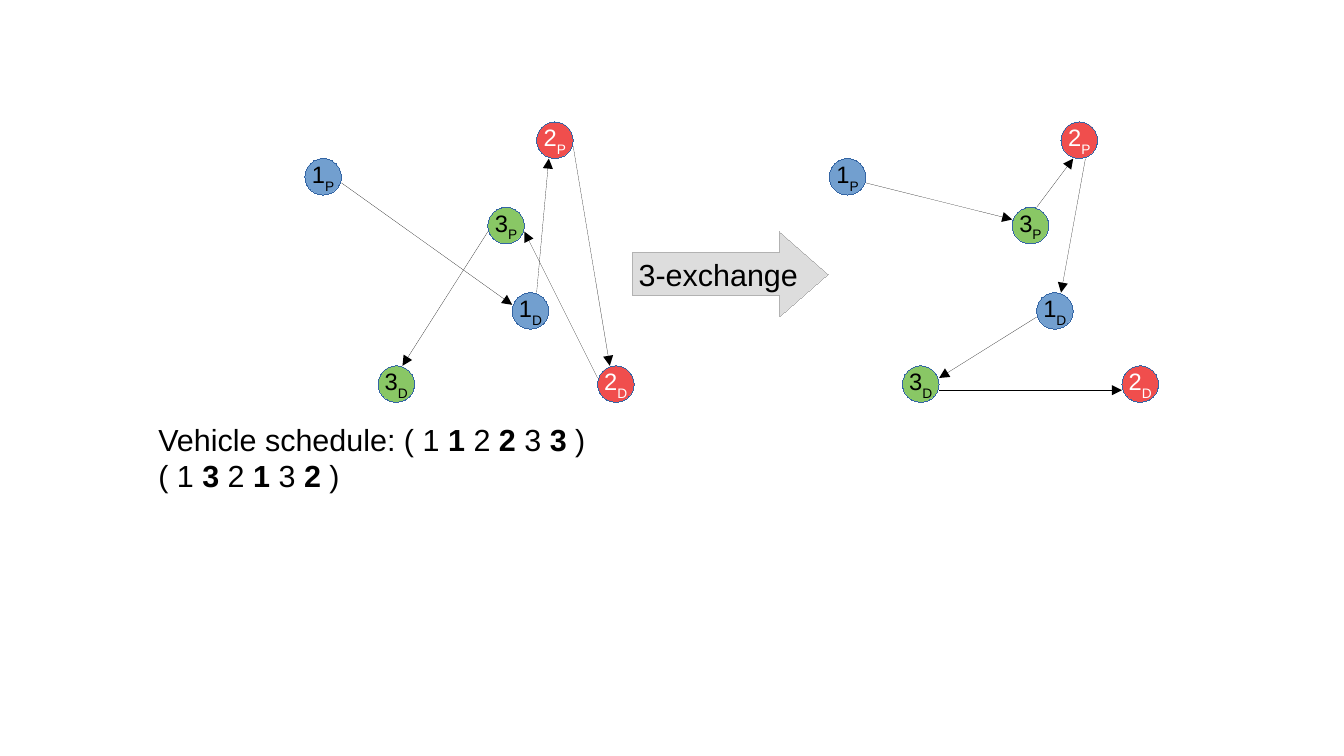
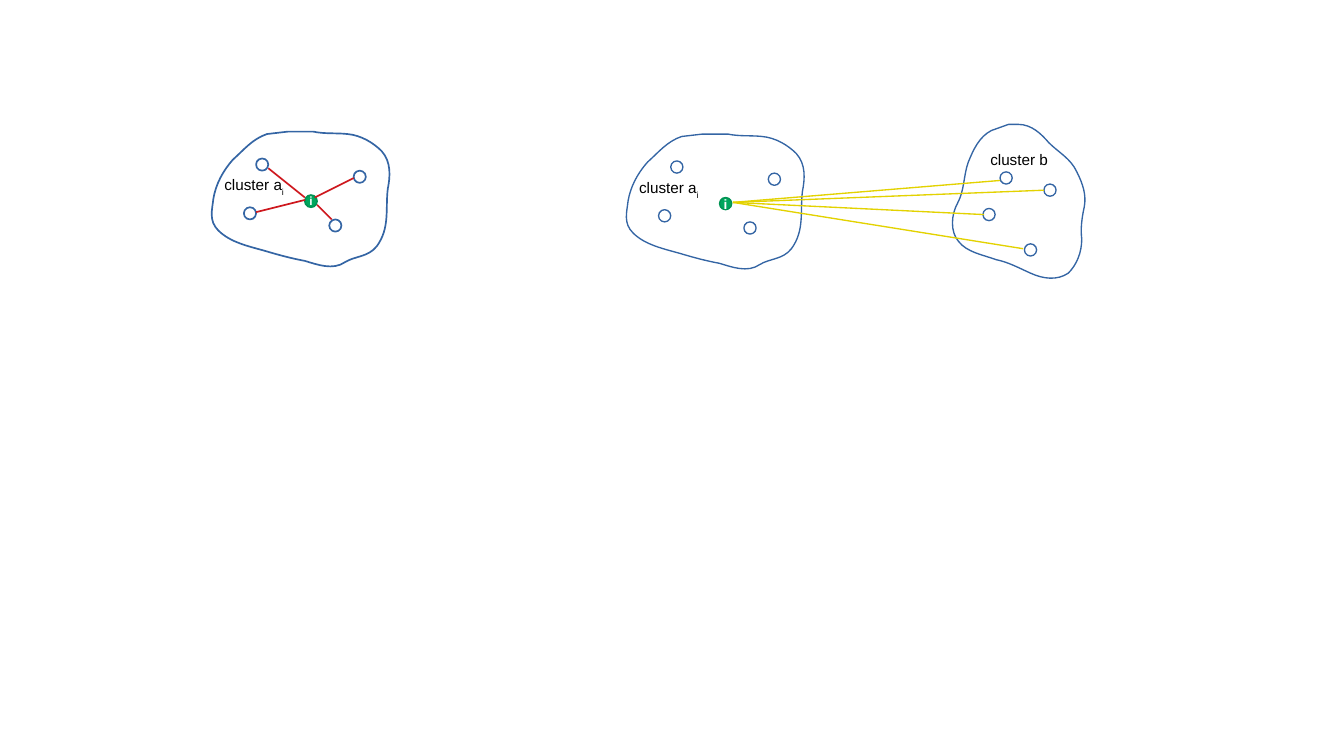
from dataclasses import dataclass
from typing import NamedTuple

from lxml import etree
from pptx import Presentation
from pptx import util as u
from pptx.dml.color import RGBColor
from pptx.enum import shapes, text
from pptx.oxml import ns

EMU_PER_PX = 9144  # 100 px to the inch


@dataclass(frozen=True)
class Theme:
    font: str = "Arial"
    black: str = "000000"
    white: str = "FFFFFF"
    outline: str = "3465A4"
    blue: str = "729FCF"
    red: str = "F04E4D"
    green: str = "89C765"
    exchange_fill: str = "DDDDDD"
    exchange_line: str = "B2B2B2"
    focus_fill: str = "00A65D"
    focus_line: str = "009353"
    inner_ray: str = "CE181E"
    outer_ray: str = "E3D200"
    body_size: float = 18
    stop_size: float = 14
    label_size: float = 9
    hairline: float = 0
    thin: float = 0.79
    medium: float = 1


THEME = Theme()


class Point(NamedTuple):
    x: int
    y: int

    def moved(self, shift: "Point") -> "Point":
        return Point(self.x + shift.x, self.y + shift.y)


class Box(NamedTuple):
    x: int
    y: int
    w: int
    h: int


class Run(NamedTuple):
    words: str
    bold: bool = False
    subscript: bool = False


class Stop(NamedTuple):
    request: str
    kind: str
    at: Point
    fill: str
    ink: str


class Leg(NamedTuple):
    start: Point
    end: Point


class Cluster(NamedTuple):
    start: Point
    segments: list[tuple[int, ...]]  # 2 numbers: line, 6 numbers: cubic curve
    label: list[Run]
    label_at: Point
    members: list[Point]


ORIGIN = Point(0, 0)
STOP_SIZE, MEMBER_SIZE = 30, 10

STOPS = [
    Stop("1", "P", Point(250, 130), THEME.blue, THEME.black),
    Stop("1", "D", Point(420, 240), THEME.blue, THEME.black),
    Stop("2", "P", Point(440, 100), THEME.red, THEME.white),
    Stop("2", "D", Point(490, 300), THEME.red, THEME.white),
    Stop("3", "P", Point(400, 170), THEME.green, THEME.black),
    Stop("3", "D", Point(310, 300), THEME.green, THEME.black),
]
ROUTE_BEFORE = [
    Leg(Point(280, 150), Point(420, 250)),
    Leg(Point(440, 240), Point(450, 130)),
    Leg(Point(470, 120), Point(500, 300)),
    Leg(Point(490, 310), Point(430, 190)),
    Leg(Point(400, 190), Point(330, 300)),
]
ROUTE_AFTER = [
    Leg(Point(280, 150), Point(400, 180)),
    Leg(Point(420, 170), Point(450, 130)),
    Leg(Point(460, 130), Point(440, 240)),
    Leg(Point(420, 260), Point(340, 310)),
    Leg(Point(340, 320), Point(490, 320)),
]
AFTER_SHIFT = Point(430, 0)

CLUSTER_A = Cluster(
    Point(219, 110),
    [
        (207, 114, 200, 123, 191, 131), (183, 140, 177, 151, 175, 163),
        (174, 172, 171, 181, 179, 189), (189, 199, 204, 202, 218, 206),
        (228, 209, 239, 212, 250, 214), (260, 217, 273, 222, 283, 215),
        (291, 210, 302, 211, 309, 202), (320, 187, 316, 171, 318, 155),
        (320, 145, 321, 133, 313, 124), (306, 117, 296, 111, 285, 110),
        (276, 109, 266, 110, 257, 108), (247, 108), (238, 108), (236, 108),
    ],
    [Run("cluster a"), Run("i", subscript=True)],
    Point(184, 144),
    [Point(210, 130), Point(200, 170), Point(270, 180), Point(290, 140)],
)
CLUSTER_B = Cluster(
    Point(813, 107),
    [
        (803, 112, 798, 123, 794, 133), (790, 144, 791, 156, 785, 167),
        (780, 176, 779, 190, 786, 198), (793, 207, 806, 209, 817, 213),
        (827, 215, 836, 220, 845, 224), (856, 229, 867, 230, 876, 224),
        (883, 217, 887, 207, 887, 196), (886, 188, 887, 179, 889, 170),
        (891, 160, 888, 151, 883, 141), (878, 130, 868, 125, 860, 117),
        (854, 110, 846, 102, 835, 102), (827, 102),
    ],
    [Run("cluster b")],
    Point(812, 123),
    [Point(820, 141), Point(806, 171), Point(840, 200), Point(856, 151)],
)
FOCUS = Point(250, 160)
SECOND_SHIFT = Point(340, 2)
INNER_RAYS = [
    Leg(Point(220, 138), Point(250, 162)),
    Leg(Point(210, 174), Point(250, 164)),
    Leg(Point(260, 168), Point(272, 180)),
    Leg(Point(258, 162), Point(290, 146)),
]
OUTER_RAYS = [
    Leg(Point(601, 166), end)
    for end in (Point(820, 148), Point(856, 156), Point(839, 204), Point(807, 176))
]


def px(length: int) -> u.Emu:
    return u.Emu(length * EMU_PER_PX)


def set_line(line, color: str, width: float) -> None:
    line.color.rgb = RGBColor.from_string(color)
    # A zero width is written out, as line.width would omit it.
    line._get_or_add_ln().set("w", str(int(u.Pt(width))))


def write(paragraph, runs: list[Run], size: float, ink: str = THEME.black) -> None:
    for part in runs:
        run = paragraph.add_run()
        run.text = part.words
        run.font.name = THEME.font
        run.font.size = u.Pt(size)
        run.font.bold = part.bold
        run.font.color.rgb = RGBColor.from_string(ink)
        if part.subscript:
            run.font._element.set("baseline", "-33000")


def draw_shape(slide, preset, box: Box, fill: str | None, line: str, width: float):
    shape = slide.shapes.add_shape(preset, *map(px, box))
    finish(shape, fill, line, width)
    return shape


def finish(shape, fill: str | None, line: str, width: float) -> None:
    """Set the fill and outline and drop the shadow."""
    shape.shadow.inherit = False
    if fill:
        shape.fill.solid()
        shape.fill.fore_color.rgb = RGBColor.from_string(fill)
    else:
        shape.fill.background()
    set_line(shape.line, line, width)


def write_centred(shape, runs: list[Run], size: float, ink: str) -> None:
    frame = shape.text_frame
    frame.word_wrap = False
    frame.vertical_anchor = text.MSO_ANCHOR.MIDDLE
    frame.paragraphs[0].alignment = text.PP_ALIGN.CENTER
    write(frame.paragraphs[0], runs, size, ink)


def draw_leg(slide, leg: Leg, color: str, width: float, arrow: bool = False) -> None:
    connector = slide.shapes.add_connector(
        shapes.MSO_CONNECTOR.STRAIGHT, *map(px, (*leg.start, *leg.end))
    )
    set_line(connector.line, color, width)
    if arrow:
        head = etree.SubElement(connector.line._get_or_add_ln(), ns.qn("a:tailEnd"))
        head.set("type", "triangle")
    etree.SubElement(connector._element.spPr, ns.qn("a:effectLst"))


def draw_route(slide, route: list[Leg], shift: Point) -> None:
    for stop in STOPS:
        circle = draw_shape(
            slide, shapes.MSO_SHAPE.OVAL, Box(*stop.at.moved(shift), STOP_SIZE, STOP_SIZE),
            stop.fill, THEME.outline, THEME.hairline,
        )
        runs = [Run(stop.request), Run(stop.kind, subscript=True)]
        write_centred(circle, runs, THEME.stop_size, stop.ink)
    for leg in route:
        moved = Leg(leg.start.moved(shift), leg.end.moved(shift))
        draw_leg(slide, moved, THEME.black, THEME.hairline, arrow=True)


def draw_outline(slide, cluster: Cluster, shift: Point):
    """Build the outline from its end points, then bend its curved segments."""
    ends = [Point(*segment[-2:]).moved(shift) for segment in cluster.segments]
    start = cluster.start.moved(shift)
    builder = slide.shapes.build_freeform(*map(px, start), scale=1.0)
    builder.add_line_segments([(px(end.x), px(end.y)) for end in ends], close=True)
    shape = builder.convert_to_shape()
    drawn = list(shape._element.iter(ns.qn("a:lnTo")))
    for element, segment in zip(drawn, cluster.segments):
        if len(segment) == 2:
            continue
        curve = etree.Element(ns.qn("a:cubicBezTo"))
        for x, y in zip(segment[0::2], segment[1::2]):
            point = etree.SubElement(curve, ns.qn("a:pt"))
            point.set("x", str(px(x + shift.x) - shape.left))
            point.set("y", str(px(y + shift.y) - shape.top))
        element.getparent().replace(element, curve)
    return shape


def draw_cluster(slide, cluster: Cluster, width: float, shift: Point = ORIGIN) -> None:
    outline = draw_outline(slide, cluster, shift)
    finish(outline, None, THEME.outline, width)
    label_at = cluster.label_at.moved(shift)
    frame = outline.text_frame
    frame.word_wrap = True
    frame.vertical_anchor = text.MSO_ANCHOR.TOP
    frame.margin_left = px(label_at.x) - outline.left
    frame.margin_top = px(label_at.y) - outline.top
    frame.margin_right = frame.margin_bottom = 0
    frame.paragraphs[0].alignment = text.PP_ALIGN.LEFT
    write(frame.paragraphs[0], cluster.label, THEME.label_size)
    for member in cluster.members:
        draw_shape(
            slide, shapes.MSO_SHAPE.OVAL, Box(*member.moved(shift), MEMBER_SIZE, MEMBER_SIZE),
            None, THEME.outline, width,
        )


def draw_focus(slide, width: float, size: float, shift: Point = ORIGIN) -> None:
    """Draw the marked member i of cluster a."""
    circle = draw_shape(
        slide, shapes.MSO_SHAPE.OVAL, Box(*FOCUS.moved(shift), MEMBER_SIZE, MEMBER_SIZE),
        THEME.focus_fill, THEME.focus_line, width,
    )
    circle.text_frame.margin_top = circle.text_frame.margin_bottom = px(1)
    write_centred(circle, [Run("i", bold=True)], size, THEME.white)


def schedule(opening: str, visits: str) -> list[Run]:
    """Write the visits plain and bold in turn."""
    runs = [Run(opening)]
    for plain, bold in zip(visits[0::2], visits[1::2]):
        runs += [Run(f" {plain} "), Run(bold, bold=True)]
    return runs + [Run(" )")]


def draw_schedules(slide) -> None:
    frame = slide.shapes.add_textbox(*map(px, Box(120, 340, 840, 66))).text_frame
    frame.word_wrap = True
    paragraph = frame.paragraphs[0]
    write(paragraph, schedule("Vehicle schedule: (", "112233"), THEME.body_size)
    paragraph.add_line_break()
    write(paragraph, schedule("(", "132132"), THEME.body_size)


def build_exchange(slide) -> None:
    draw_route(slide, ROUTE_BEFORE, ORIGIN)
    exchange = draw_shape(
        slide, shapes.MSO_SHAPE.RIGHT_ARROW, Box(519, 190, 160, 70),
        THEME.exchange_fill, THEME.exchange_line, THEME.hairline,
    )
    exchange.adjustments[0], exchange.adjustments[1] = 0.5, 0.57
    write_centred(exchange, [Run("3-exchange")], THEME.body_size, THEME.black)
    draw_schedules(slide)
    draw_route(slide, ROUTE_AFTER, AFTER_SHIFT)


def build_clusters(slide) -> None:
    draw_cluster(slide, CLUSTER_A, THEME.medium)
    draw_focus(slide, THEME.medium, 7)
    draw_cluster(slide, CLUSTER_A, THEME.thin, SECOND_SHIFT)
    draw_focus(slide, THEME.thin, 8, SECOND_SHIFT)
    draw_cluster(slide, CLUSTER_B, THEME.thin)
    for ray in INNER_RAYS:
        draw_leg(slide, ray, THEME.inner_ray, THEME.medium)
    for ray in OUTER_RAYS:
        draw_leg(slide, ray, THEME.outer_ray, THEME.thin)


def main() -> None:
    deck = Presentation()
    deck.slide_width, deck.slide_height = px(1102), px(620)
    blank = deck.slide_layouts[6]
    for build in (build_exchange, build_clusters):
        build(deck.slides.add_slide(blank))
    deck.save("out.pptx")


if __name__ == "__main__":
    main()
